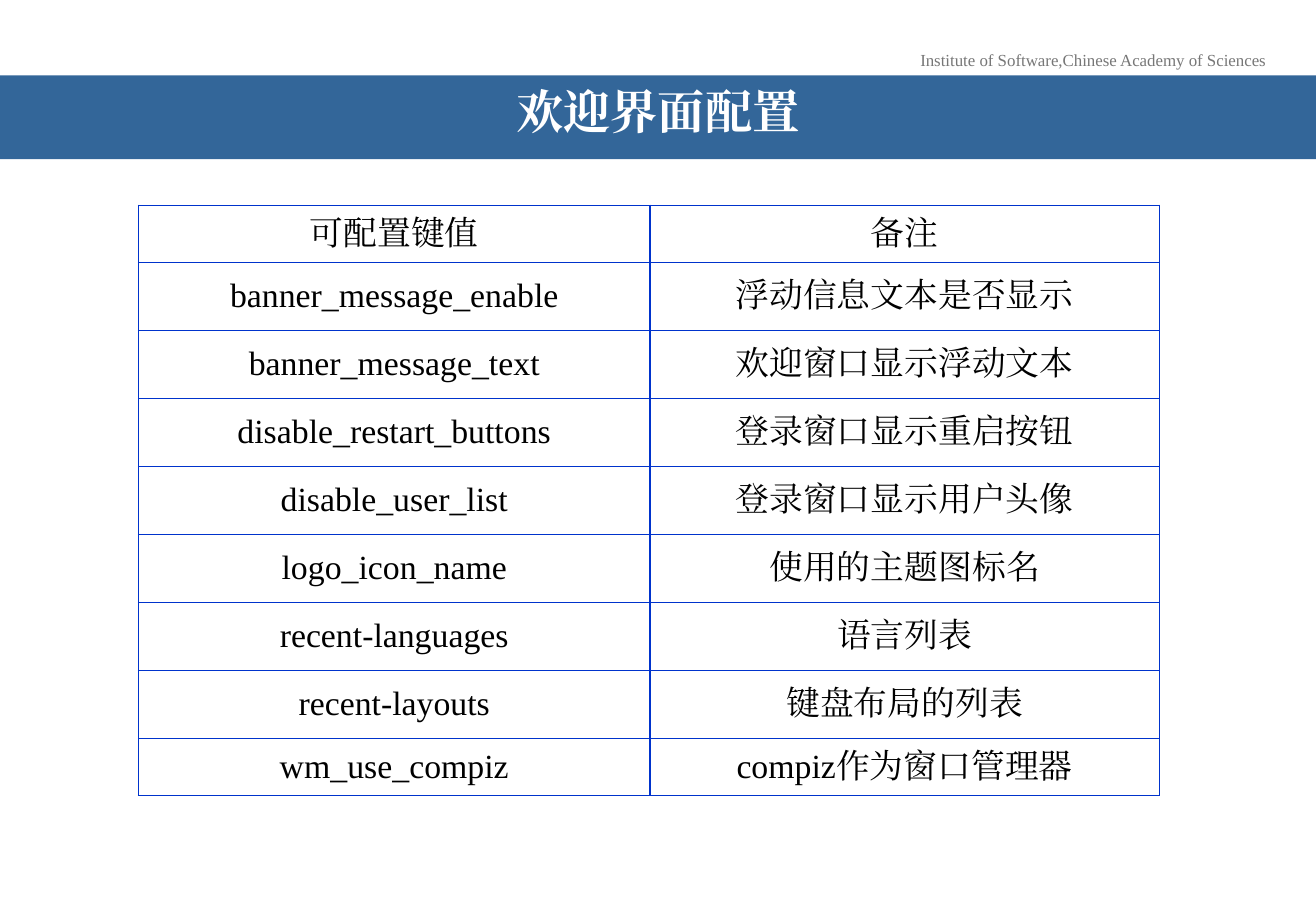
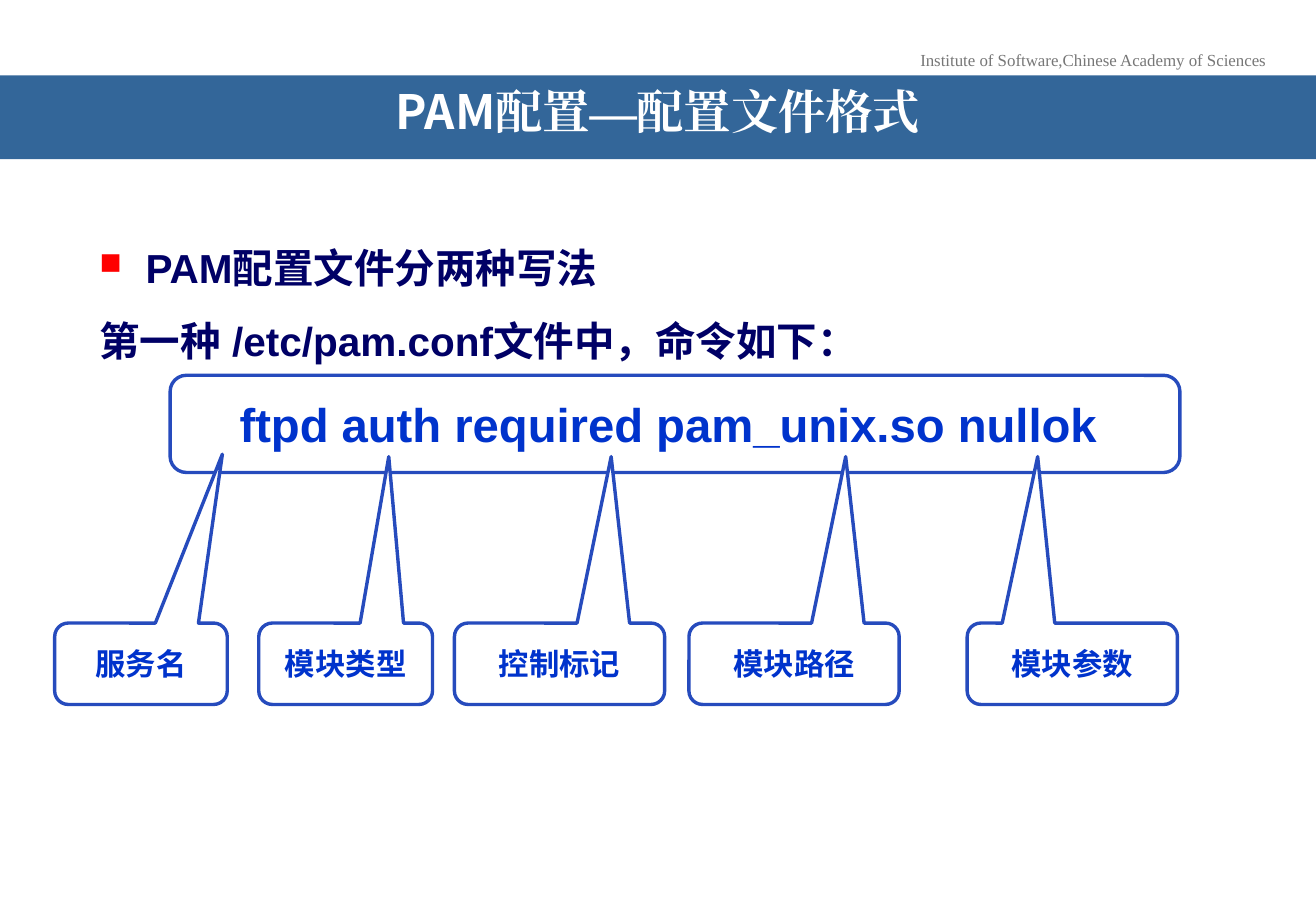
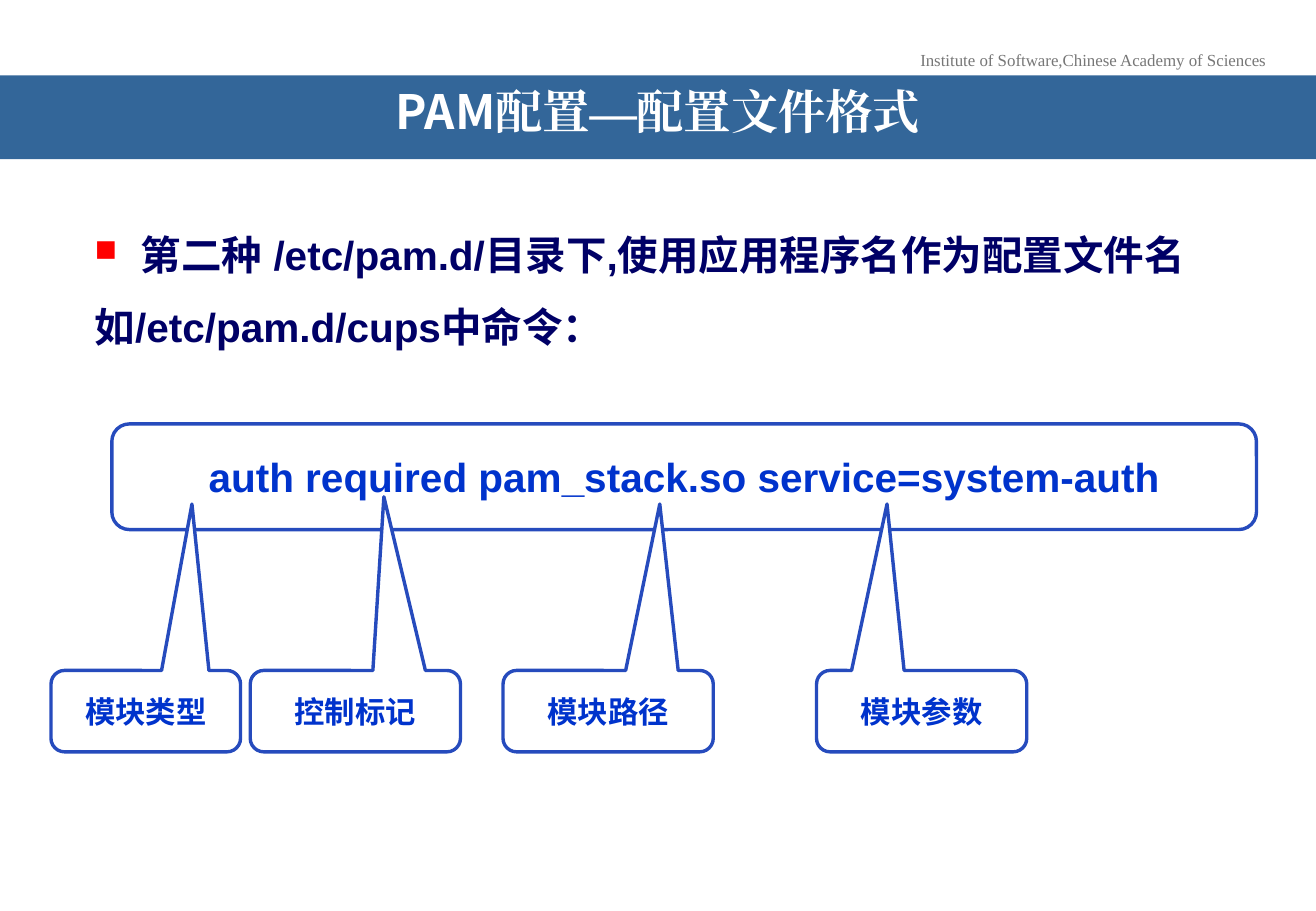
from pptx import Presentation
from pptx.dml.color import RGBColor
from pptx.enum.shapes import MSO_SHAPE
from pptx.enum.text import MSO_ANCHOR, PP_ALIGN
from pptx.oxml.ns import qn
from pptx.util import Inches, Pt
from lxml import etree

CENTER = PP_ALIGN.CENTER
MIDDLE = MSO_ANCHOR.MIDDLE
RECT = MSO_SHAPE.RECTANGLE
ROUND_RECT = MSO_SHAPE.ROUNDED_RECTANGLE
CALLOUT = MSO_SHAPE.ROUNDED_RECTANGULAR_CALLOUT

WIDTH, HEIGHT = 10.83, 7.5
SERIF, SANS, NARROW, CJK = "Times New Roman", "Arial", "Arial Narrow", "Noto Sans CJK SC"
WHITE, BLACK, GREY, RED = "FFFFFF", "000000", "777777", "FF0000"
BAND, OUTLINE, BLUE, NAVY = "336699", "264BBD", "0033CC", "000066"


def rgb(value):
    return RGBColor.from_string(value)


def box(*lengths):
    return [Inches(v) for v in lengths]


def add_xml(parent, tag, **attributes):
    return etree.SubElement(parent, qn(tag), attributes)


class Deck:
    def __init__(self):
        self.prs = Presentation()
        self.prs.slide_width, self.prs.slide_height = box(WIDTH, HEIGHT)
        self.slide = None

    def style(self, p, size, color, font, bold=False, east_asian=None):
        for r in p.runs:
            r.font.size = Pt(size)
            r.font.name = font
            r.font.bold = bold
            r.font.color.rgb = rgb(color)
            add_xml(r.font._element, "a:ea", typeface=east_asian or font)

    def shape(self, kind, at, fill, line=None):
        sp = self.slide.shapes.add_shape(kind, *box(*at))
        sp.shadow.inherit = False
        sp.fill.solid()
        sp.fill.fore_color.rgb = rgb(fill)
        if line:
            sp.line.color.rgb = rgb(line)
            sp.line.width = Pt(2)
        else:
            sp.line.fill.background()
        sp.text_frame.word_wrap = True
        sp.text_frame.vertical_anchor = MIDDLE
        return sp

    def new_slide(self, title, font):
        """Start a slide with the institute line and the title band."""
        self.slide = self.prs.slides.add_slide(self.prs.slide_layouts[6])
        tf = self.slide.shapes.add_textbox(*box(7.46, 0.36, 3.07, 0.27)).text_frame
        tf.word_wrap = False
        p = tf.paragraphs[0]
        p.text = "Institute of Software,Chinese Academy of Sciences"
        p.alignment = CENTER
        self.style(p, 10, GREY, SERIF)

        tf = self.shape(RECT, (0, 0.62, WIDTH, 0.69), BAND).text_frame
        tf.margin_left = tf.margin_right = Inches(0.31)
        p = tf.paragraphs[0]
        p.text = title
        p.alignment = CENTER
        p.line_spacing = 0.7
        self.style(p, 28, WHITE, font, True, SERIF)

    def table(self, left, top, widths, heights, rows):
        frame = self.slide.shapes.add_table(
            len(rows), len(widths), *box(left, top, sum(widths), sum(heights)))
        table = frame.table
        for column, width in zip(table.columns, widths):
            column.width = Inches(width)
        for row, height, texts in zip(table.rows, heights, rows):
            row.height = Inches(height)
            for cell, text in zip(row.cells, texts):
                self.cell(cell, text)

    def cell(self, cell, text):
        cell.text = text
        cell.vertical_anchor = MIDDLE
        p = cell.text_frame.paragraphs[0]
        p.alignment = CENTER
        self.style(p, 20, BLACK, SERIF)
        tcPr = cell._tc.get_or_add_tcPr()
        for side in ("a:lnL", "a:lnR", "a:lnT", "a:lnB"):
            ln = add_xml(tcPr, side, w=str(Pt(1)))
            add_xml(add_xml(ln, "a:solidFill"), "a:srgbClr", val=BLUE)
        cell.fill.background()

    def intro(self, left, top, bulleted, plain):
        """Add a bulleted line with a plain line below it."""
        tf = self.slide.shapes.add_textbox(*box(left, top, 9.92, 1.24)).text_frame
        tf.word_wrap = True
        tf.vertical_anchor = MIDDLE
        tf.text = f"{bulleted}\n{plain}"
        for p in tf.paragraphs:
            p.line_spacing = 1.5
        pPr = tf.paragraphs[0]._p.get_or_add_pPr()
        pPr.set("marL", str(Inches(0.38)))
        pPr.set("indent", str(-Inches(0.38)))
        add_xml(add_xml(pPr, "a:buClr"), "a:srgbClr", val=RED)
        add_xml(pPr, "a:buSzPct", val="75000")
        add_xml(pPr, "a:buChar", char="■")
        for p in tf.paragraphs:
            self.style(p, 24, NAVY, SANS, True)

    def label(self, kind, at, text, size):
        sp = self.shape(kind, at, WHITE, OUTLINE)
        p = sp.text_frame.paragraphs[0]
        p.text = text
        p.alignment = CENTER
        self.style(p, size, BLUE, SANS, True)
        return sp

    def callouts(self, top, items):
        """Add callouts given as text, left, width and the tip's x and y."""
        height = 0.67
        for text, left, width, tip_x, tip_y in items:
            sp = self.label(CALLOUT, (left, top, width, height), text, 18)
            sp.adjustments[0] = (tip_x - left) / width - 0.5
            sp.adjustments[1] = (tip_y - top) / height - 0.5


def main():
    deck = Deck()

    deck.new_slide("欢迎界面配置", NARROW)
    deck.table(1.14, 1.69, [4.21, 4.19], [0.47] + [0.56] * 7 + [0.47], [
        ("可配置键值", "备注"),
        ("banner_message_enable", "浮动信息文本是否显示"),
        ("banner_message_text", "欢迎窗口显示浮动文本"),
        ("disable_restart_buttons", "登录窗口显示重启按钮"),
        ("disable_user_list", "登录窗口显示用户头像"),
        ("logo_icon_name", "使用的主题图标名"),
        ("recent-languages", "语言列表"),
        ("recent-layouts", "键盘布局的列表"),
        ("wm_use_compiz", "compiz作为窗口管理器"),
    ])

    deck.new_slide("PAM配置—配置文件格式", CJK)
    deck.intro(0.72, 1.78, "PAM配置文件分两种写法", "第一种 /etc/pam.conf文件中，命令如下：")
    command = deck.label(ROUND_RECT, (1.4, 3.09, 8.31, 0.8),
                         "ftpd auth required pam_unix.so nullok", 28)
    command.text_frame.margin_right = Inches(0.21)
    deck.callouts(5.13, [
        ("服务名", 0.45, 1.42, 1.83, 3.74),
        ("模块类型", 2.13, 1.43, 3.2, 3.76),
        ("控制标记", 3.74, 1.73, 5.03, 3.76),
        ("模块路径", 5.67, 1.73, 6.96, 3.76),
        ("模块参数", 7.96, 1.73, 8.54, 3.76),
    ])

    deck.new_slide("PAM配置—配置文件格式", CJK)
    deck.intro(0.68, 1.67, "第二种 /etc/pam.d/目录下,使用应用程序名作为配置文件名",
               "如/etc/pam.d/cups中命令：")
    deck.label(ROUND_RECT, (0.92, 3.49, 9.42, 0.87),
               "auth required pam_stack.so service=system-auth", 24)
    deck.callouts(5.52, [
        ("模块类型", 0.42, 1.56, 1.58, 4.15),
        ("控制标记", 2.06, 1.73, 3.16, 4.09),
        ("模块路径", 4.14, 1.73, 5.43, 4.15),
        ("模块参数", 6.72, 1.73, 7.3, 4.15),
    ])

    deck.prs.save("out.pptx")


if __name__ == "__main__":
    main()
